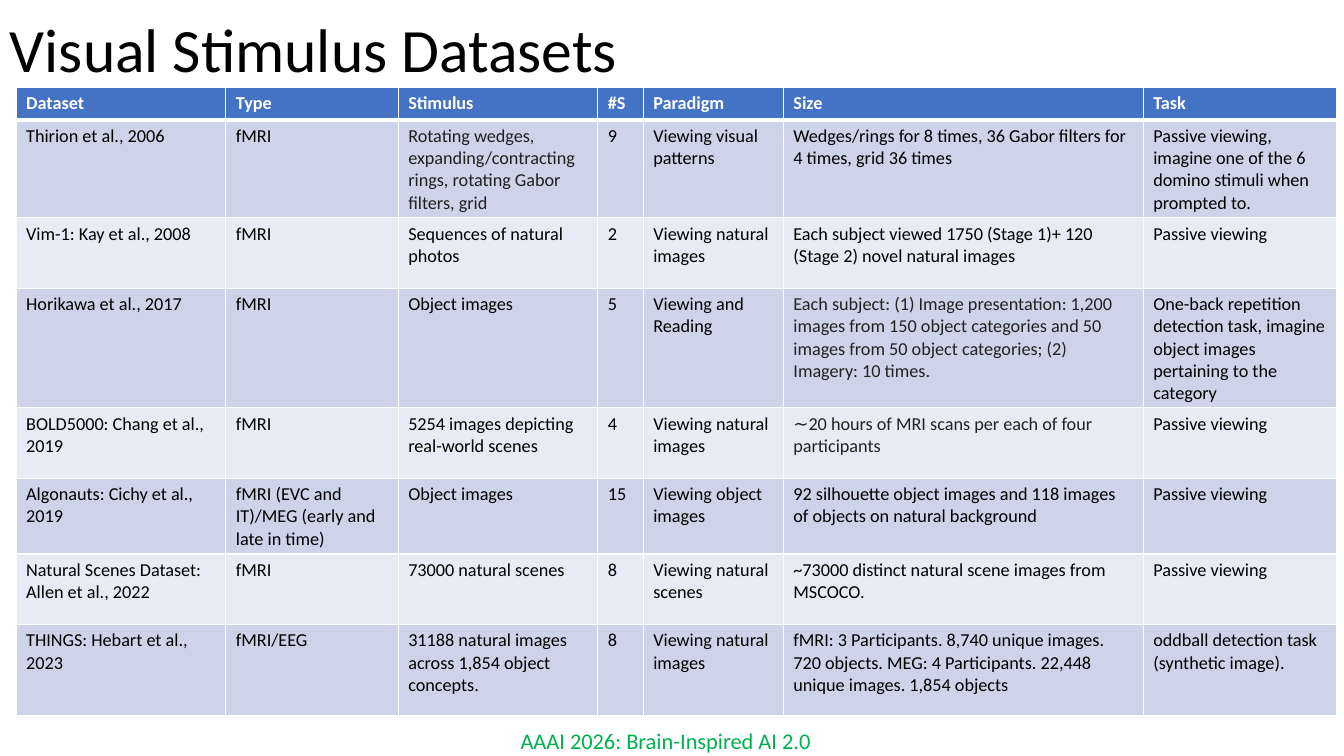
"""Build the slide that compares visual stimulus datasets."""
from dataclasses import dataclass

from lxml import etree
from pptx import Presentation
from pptx.dml.color import RGBColor
from pptx.enum.text import MSO_ANCHOR
from pptx.oxml.ns import qn
from pptx.util import Inches, Pt

MIDDLE, TOP = MSO_ANCHOR.MIDDLE, MSO_ANCHOR.TOP
BLACK = RGBColor(0x00, 0x00, 0x00)
WHITE = RGBColor(0xFF, 0xFF, 0xFF)
CHARCOAL = RGBColor(0x22, 0x22, 0x22)
SOFT_BLACK = RGBColor(0x20, 0x20, 0x20)
GREEN = RGBColor(0x00, 0xB0, 0x50)
BLUE = RGBColor(0x44, 0x72, 0xC4)
BAND_DARK = RGBColor(0xCD, 0xD4, 0xEA)
BAND_LIGHT = RGBColor(0xE8, 0xEB, 0xF5)

FONT = "Calibri"
SLIDE_W, SLIDE_H = Inches(13.33), Inches(7.5)
TABLE_LEFT, TABLE_TOP = 0.012, 0.115
THIN, THICK = 1, 3


@dataclass
class Label:
    """A line of text placed by shares of the slide's size."""
    text: str
    left: float
    top: float
    width: float
    height: float
    size: int
    color: RGBColor
    anchor: int
    spacing: float


@dataclass
class Column:
    """A table column: heading and width in inches."""
    heading: str
    width: float


@dataclass
class Row:
    """A table row: height in inches and cell texts."""
    height: float
    cells: tuple[str, ...]


LABELS = [
    Label("AAAI 2026: Brain-Inspired AI 2.0", 0.38, 0.955, 0.24, 0.05, 16, GREEN, TOP, 1.0),
    Label("Visual Stimulus Datasets", 0, 0, 1, 0.14, 44, BLACK, MIDDLE, 0.9),
]
COLUMNS = [
    Column("Dataset", 2.08),
    Column("Type", 1.71),
    Column("Stimulus", 1.98),
    Column("#S", 0.45),
    Column("Paradigm", 1.39),
    Column("Size", 3.57),
    Column("Task", 1.92),
]
HEADER = Row(0.33, tuple(c.heading for c in COLUMNS))
DATASETS = [
    Row(0.9, ("Thirion et al., 2006", "fMRI",
              "Rotating wedges, expanding/contracting rings, rotating Gabor filters, grid",
              "9", "Viewing visual patterns",
              "Wedges/rings for 8 times, 36 Gabor filters for 4 times, grid 36 times",
              "Passive viewing, imagine one of the 6 domino stimuli when prompted to.")),
    Row(0.7, ("Vim-1: Kay et al., 2008", "fMRI", "Sequences of natural photos",
              "2", "Viewing natural images",
              "Each subject viewed 1750 (Stage 1)+ 120 (Stage 2) novel natural images",
              "Passive viewing")),
    Row(1.1, ("Horikawa et al., 2017", "fMRI", "Object images", "5", "Viewing and Reading",
              "Each subject: (1) Image presentation: 1,200 images from 150 object categories "
              "and 50 images from 50 object categories; (2) Imagery: 10 times.",
              "One-back repetition detection task, imagine object images pertaining "
              "to the category")),
    Row(0.7, ("BOLD5000: Chang et al., 2019", "fMRI",
              "5254 images depicting real-world scenes", "4", "Viewing natural images",
              "∼20 hours of MRI scans per each of four participants", "Passive viewing")),
    Row(0.7, ("Algonauts: Cichy et al., 2019", "fMRI (EVC and IT)/MEG (early and late in time)",
              "Object images", "15", "Viewing object images",
              "92 silhouette object images and 118 images of objects on natural background",
              "Passive viewing")),
    Row(0.7, ("Natural Scenes Dataset: Allen et al., 2022", "fMRI", "73000 natural scenes",
              "8", "Viewing natural scenes",
              "~73000 distinct natural scene images from MSCOCO.", "Passive viewing")),
    Row(0.9, ("THINGS: Hebart et al., 2023", "fMRI/EEG",
              "31188 natural images across 1,854 object concepts.",
              "8", "Viewing natural images",
              "fMRI: 3 Participants. 8,740 unique images. 720 objects. "
              "MEG: 4 Participants. 22,448 unique images. 1,854 objects",
              "oddball detection task (synthetic image).")),
]
TINTS = {(1, 2): SOFT_BLACK, (3, 5): CHARCOAL, (4, 5): CHARCOAL}


def write(tf, text: str, size: int, color: RGBColor, bold: bool = False) -> None:
    """Put one formatted run into a text frame."""
    tf.word_wrap = True
    r = tf.paragraphs[0].add_run()
    r.text = text
    for name, value in {"name": FONT, "size": Pt(size), "bold": bold}.items():
        setattr(r.font, name, value)
    r.font.color.rgb = color


def add_label(s, label: Label) -> None:
    """Draw a text box."""
    sp = s.shapes.add_textbox(int(SLIDE_W * label.left), int(SLIDE_H * label.top),
                              int(SLIDE_W * label.width), int(SLIDE_H * label.height))
    tf = sp.text_frame
    write(tf, label.text, label.size, label.color)
    tf.vertical_anchor = label.anchor
    tf.paragraphs[0].line_spacing = label.spacing


def add_borders(cell, top: int, bottom: int) -> None:
    """Give a cell white borders, with widths in points."""
    tc_pr = cell._tc.get_or_add_tcPr()
    for side, width in {"L": THIN, "R": THIN, "T": top, "B": bottom}.items():
        ln = etree.SubElement(tc_pr, qn(f"a:ln{side}"), w=str(Pt(width)))
        fill = etree.SubElement(ln, qn("a:solidFill"))
        etree.SubElement(fill, qn("a:srgbClr"), val=str(WHITE))


def add_dataset_table(s, rows: list[Row]) -> None:
    """Draw the banded table of datasets."""
    width = Inches(sum(c.width for c in COLUMNS))
    height = Inches(sum(row.height for row in rows))
    table = s.shapes.add_table(len(rows), len(COLUMNS), int(SLIDE_W * TABLE_LEFT),
                               int(SLIDE_H * TABLE_TOP), width, height).table
    for i, column in enumerate(COLUMNS):
        table.columns[i].width = Inches(column.width)
    for i, row in enumerate(rows):
        table.rows[i].height = Inches(row.height)
        is_header = i == 0
        band = BLUE if is_header else BAND_DARK if i % 2 else BAND_LIGHT
        for j, text in enumerate(row.cells):
            cell = table.cell(i, j)
            add_borders(cell, THICK if i == 1 else THIN, THICK if is_header else THIN)
            cell.fill.solid()
            cell.fill.fore_color.rgb = band
            color = WHITE if is_header else TINTS.get((i, j), BLACK)
            write(cell.text_frame, text, 13, color, is_header)


def main() -> None:
    """Build and save the slide."""
    prs = Presentation()
    prs.slide_width, prs.slide_height = SLIDE_W, SLIDE_H
    s = prs.slides.add_slide(prs.slide_layouts[6])
    for label in LABELS:
        add_label(s, label)
    add_dataset_table(s, [HEADER, *DATASETS])
    prs.save("out.pptx")


if __name__ == "__main__":
    main()
